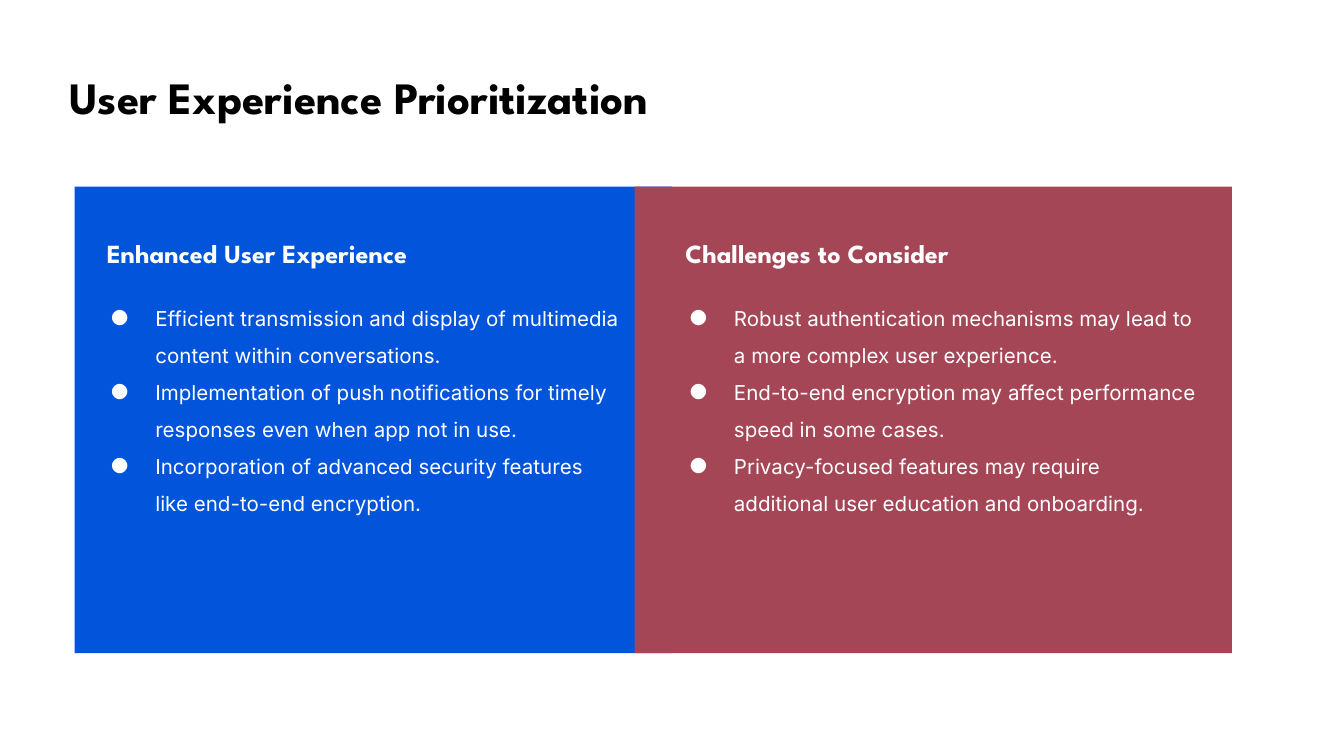
from lxml import etree
from pptx import Presentation
from pptx.dml.color import RGBColor
from pptx.enum import shapes, text
from pptx.oxml import ns
from pptx.util import Pt

BLACK = RGBColor(0x00, 0x00, 0x00)
WHITE = RGBColor(0xFF, 0xFF, 0xFF)
BLUE = RGBColor(0x02, 0x54, 0xDB)
RED = RGBColor(0xA5, 0x46, 0x57)

TITLE = dict(name="League Spartan", size=Pt(24), bold=True)
HEAD = dict(name="League Spartan", size=Pt(14), bold=True)
BODY = dict(name="Inter", size=Pt(11), bold=False)
FRAME = dict(
    margin_left=Pt(7.2), margin_top=Pt(7.2),
    margin_right=Pt(7.2), margin_bottom=Pt(7.2),
    word_wrap=True, auto_size=text.MSO_AUTO_SIZE.NONE,
    vertical_anchor=text.MSO_ANCHOR.TOP,
)

PANELS = [
    (BLUE, 40, 0, "Enhanced User Experience", [
        "Efficient transmission and display of multimedia content within conversations.",
        "Implementation of push notifications for timely responses even when app not in use.",
        "Incorporation of advanced security features like end-to-end encryption.",
    ]),
    (RED, 340, 10, "Challenges to Consider", [
        "Robust authentication mechanisms may lead to a more complex user experience.",
        "End-to-end encryption may affect performance speed in some cases.",
        "Privacy-focused features may require additional user education and onboarding.",
    ]),
]


def apply(item, style):
    for key, value in style.items():
        setattr(item, key, value)


def place(shape, left, top, width, height):
    apply(shape, dict(left=Pt(left), top=Pt(top), width=Pt(width), height=Pt(height)))


def bullet(para):
    props = para._p.get_or_add_pPr()
    props.set("marL", str(Pt(36)))
    props.set("indent", str(-Pt(24)))
    tint = etree.SubElement(props, ns.qn("a:buClr"))
    etree.SubElement(tint, ns.qn("a:srgbClr"), val=str(WHITE))
    etree.SubElement(props, ns.qn("a:buFont"), typeface="Inter")
    etree.SubElement(props, ns.qn("a:buChar"), char="●")


def write(holder, box, lines, style, color, pitch=1.0, listed=False):
    place(holder, *box)
    frame = holder.text_frame
    frame.text = "\n".join(lines)
    apply(frame, FRAME)
    for para in frame.paragraphs:
        if listed:
            bullet(para)
        apply(para, dict(alignment=text.PP_ALIGN.LEFT, line_spacing=pitch,
                         space_before=Pt(0), space_after=Pt(0)))
        apply(para.font, style)
        para.font.color.rgb = color


def panel(slide, box, color, inset, head, body, label, points):
    left, top, width, height = box
    card = slide.shapes.add_shape(shapes.MSO_SHAPE.RECTANGLE, *map(Pt, box))
    card.shadow.inherit = False
    card.fill.solid()
    card.fill.fore_color.rgb = color
    card.line.fill.background()
    slide.shapes.title._element.addprevious(card._element)
    start = left + inset
    write(head, (start + 10, top + 20, width - 20, 36), [label], HEAD, WHITE)
    write(body, (start, top + 50, width - 20, height - 80), points, BODY, WHITE,
          pitch=1.5, listed=True)


def main():
    deck = Presentation()
    apply(deck, dict(slide_width=Pt(720), slide_height=Pt(405)))
    slide = deck.slides.add_slide(deck.slide_layouts.get_by_name("Comparison"))
    title, *slots = slide.placeholders
    write(title, (30, 30, 650, 36), ["User Experience Prioritization"], TITLE, BLACK)
    pairs = zip(slots[::2], slots[1::2])
    for (color, left, inset, label, points), (head, body) in zip(PANELS, pairs):
        panel(slide, (left, 100, 320, 250), color, inset, head, body, label, points)
    deck.save("out.pptx")


if __name__ == "__main__":
    main()
